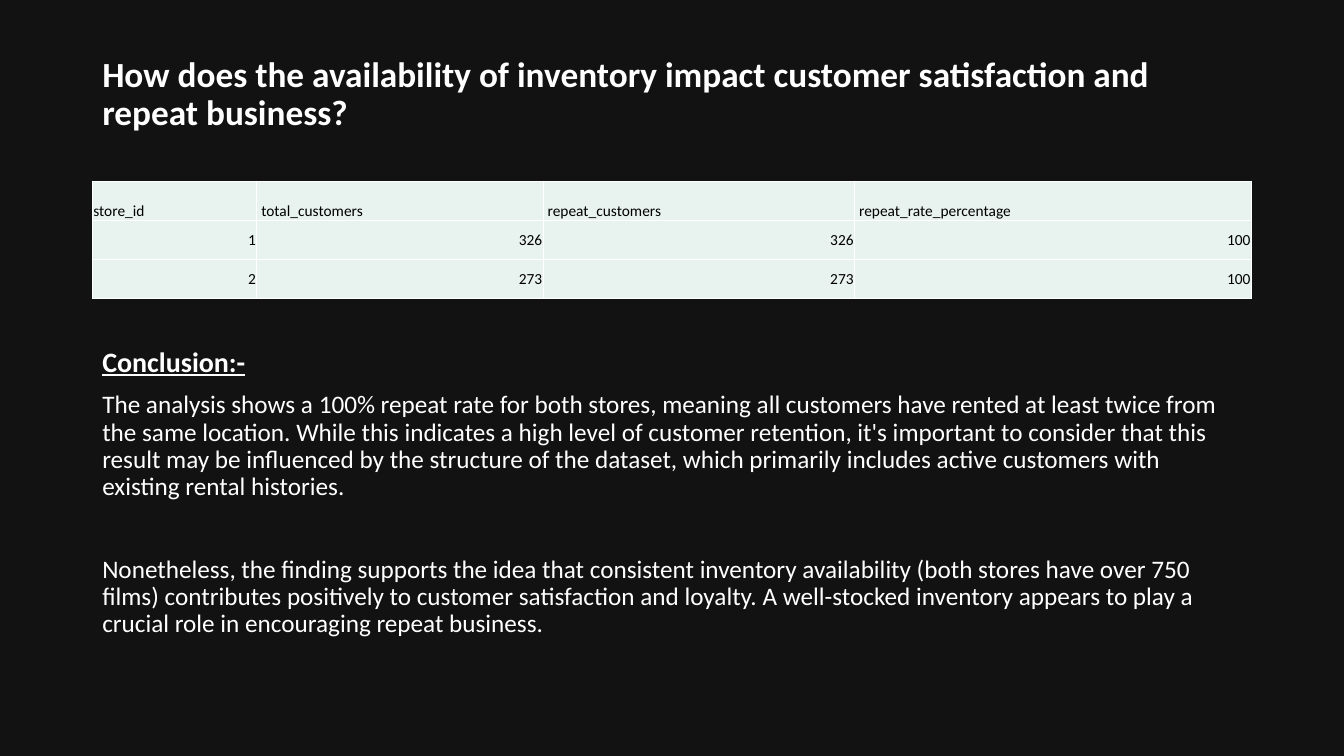
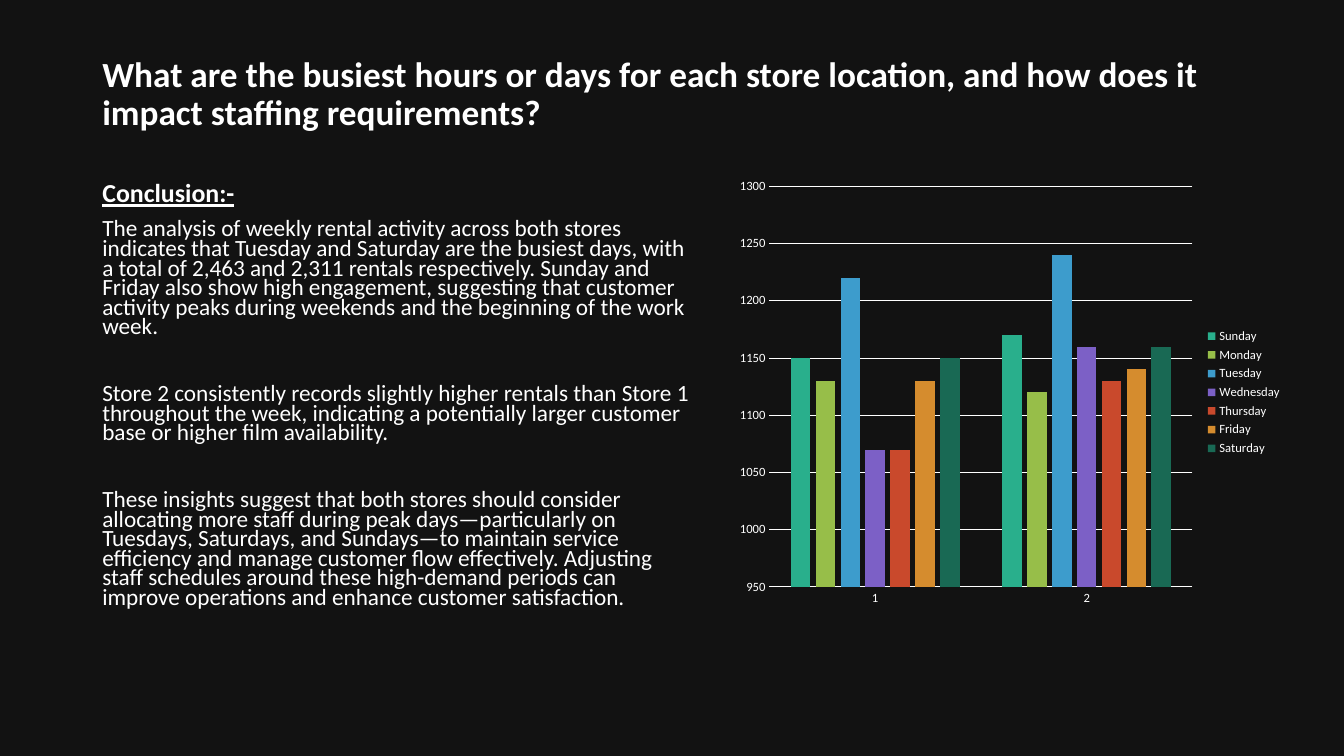
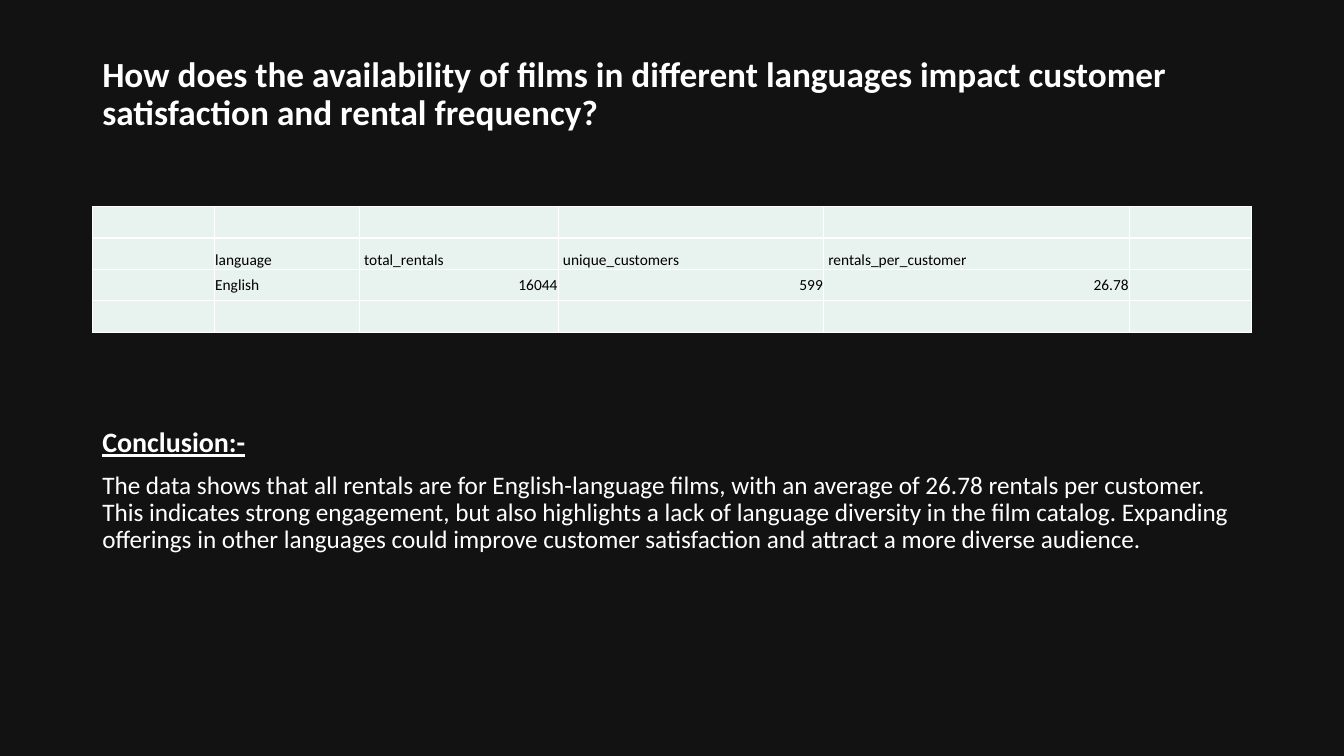
import pptx
import pptx.chart.data
import pptx.dml.color
import pptx.enum.chart
import pptx.enum.text
import pptx.oxml
import pptx.oxml.ns
import pptx.util

Pt = pptx.util.Pt
RGB = pptx.dml.color.RGBColor.from_string
Anchor = pptx.enum.text.MSO_ANCHOR
Align = pptx.enum.text.PP_ALIGN

# Theme: colours, type and shared positions
THEME = {
    "background": RGB("121212"),
    "white": RGB("FFFFFF"),
    "cell_fill": RGB("E8F2EE"),
    "cell_text": RGB("000000"),
    "font": "Calibri",
    "title_size": 25.2,
    "cell_size": 11,
    "axis_size": 9,
    "left": 66,
    "width": 828,
    "series": ["29AF8C", "97BE49", "3D9CCC", "7C60C6", "C9492C", "D58C2E", "196954"],
}
TITLE_BOX = (THEME["left"], 40, THEME["width"], 56)
WIDE_BODY = {"heading": 20, "text": 18, "spacing": 0.9, "gap": 39.5}
NARROW_BODY = {"heading": 18.5, "text": 16.6, "spacing": 0.7, "gap": 34}
HEADING = "Conclusion:-"


def add_text(slide, box, paragraphs, spacing, **frame_format):
    """Each paragraph is (text, space before, font values)."""
    frame = slide.shapes.add_textbox(*map(Pt, box)).text_frame
    frame_values = {"word_wrap": True, "auto_size": pptx.enum.text.MSO_AUTO_SIZE.NONE}
    for name, value in {**frame_values, **frame_format}.items():
        setattr(frame, name, value)
    for index, (text, before, font_values) in enumerate(paragraphs):
        paragraph = frame.add_paragraph() if index else frame.paragraphs[0]
        paragraph.line_spacing = spacing
        paragraph.space_before = Pt(before)
        run = paragraph.add_run()
        run.text = text
        run.font.color.rgb = THEME["white"]
        for name, value in {"name": THEME["font"], **font_values}.items():
            setattr(run.font, name, value)


def add_data_table(slide, top, row_height, widths, rows, header_row, first_column):
    shape = slide.shapes.add_table(len(rows), len(widths), Pt(THEME["left"]), Pt(top),
                                   Pt(sum(widths)), Pt(row_height * len(rows)))
    table = shape.table
    table.first_row = table.horz_banding = False
    for column, width in zip(table.columns, widths):
        column.width = Pt(width)
    for row_index, row in enumerate(rows):
        table.rows[row_index].height = Pt(row_height)
        is_header = row_index == header_row
        for column_index, text in enumerate(row):
            cell = table.cell(row_index, column_index)
            indent = 3.2 if is_header and column_index > first_column else 0.7
            cell_values = {
                "margin_left": Pt(indent), "margin_right": Pt(0.7),
                "margin_top": Pt(0.7), "margin_bottom": 0,
                "vertical_anchor": Anchor.BOTTOM if is_header else Anchor.MIDDLE,
            }
            for name, value in cell_values.items():
                setattr(cell, name, value)
            cell.fill.solid()
            cell.fill.fore_color.rgb = THEME["cell_fill"]
            # White border on all four sides
            properties = cell._tc.get_or_add_tcPr()
            for position, side in enumerate(("lnL", "lnR", "lnT", "lnB")):
                properties.insert(position, pptx.oxml.parse_xml(
                    f'<a:{side} {pptx.oxml.ns.nsdecls("a")} w="{Pt(1)}"><a:solidFill>'
                    f'<a:srgbClr val="{THEME["white"]}"/></a:solidFill></a:{side}>'))
            # Numbers sit right, words left
            paragraph = cell.text_frame.paragraphs[0]
            is_number = text.replace(".", "").isdigit()
            paragraph.alignment = Align.RIGHT if is_number else Align.LEFT
            if text:
                run = paragraph.add_run()
                run.text = text
                run.font.name = THEME["font"]
                run.font.size = Pt(THEME["cell_size"])
                run.font.color.rgb = THEME["cell_text"]
            else:
                end = paragraph._p.get_or_add_endParaRPr()
                end.set("sz", str(THEME["cell_size"] * 100))


# Presentation with the shared background
presentation = pptx.Presentation()
presentation.slide_width = Pt(960)
presentation.slide_height = Pt(540)
master_fill = presentation.slide_master.background.fill
master_fill.solid()
master_fill.fore_color.rgb = THEME["background"]

# Wording of each slide
pages = [
    {
        "title": "How does the availability of inventory impact customer satisfaction and repeat business?",
        "box": (THEME["left"], 245, THEME["width"], 236),
        "style": WIDE_BODY,
        "body": [
            "The analysis shows a 100% repeat rate for both stores, meaning all customers have rented at least twice from the same location. While this indicates a high level of customer retention, it's important to consider that this result may be influenced by the structure of the dataset, which primarily includes active customers with existing rental histories.",
            "Nonetheless, the finding supports the idea that consistent inventory availability (both stores have over 750 films) contributes positively to customer satisfaction and loyalty. A well-stocked inventory appears to play a crucial role in encouraging repeat business.",
        ],
    },
    {
        "title": "What are the busiest hours or days for each store location, and how does it impact staffing requirements?",
        "box": (THEME["left"], 129, 438.5, 352),
        "style": NARROW_BODY,
        "body": [
            "The analysis of weekly rental activity across both stores indicates that Tuesday and Saturday are the busiest days, with a total of 2,463 and 2,311 rentals respectively. Sunday and Friday also show high engagement, suggesting that customer activity peaks during weekends and the beginning of the work week.",
            "Store 2 consistently records slightly higher rentals than Store 1 throughout the week, indicating a potentially larger customer base or higher film availability.",
            "These insights suggest that both stores should consider allocating more staff during peak days—particularly on Tuesdays, Saturdays, and Sundays—to maintain service efficiency and manage customer flow effectively. Adjusting staff schedules around these high-demand periods can improve operations and enhance customer satisfaction.",
        ],
    },
    {
        "title": "How does the availability of films in different languages impact customer satisfaction and rental frequency?",
        "box": (THEME["left"], 302.5, THEME["width"], 185),
        "style": WIDE_BODY,
        "body": [
            "The data shows that all rentals are for English-language films, with an average of 26.78 rentals per customer. This indicates strong engagement, but also highlights a lack of language diversity in the film catalog. Expanding offerings in other languages could improve customer satisfaction and attract a more diverse audience.",
        ],
    },
]

# Titles and conclusions
slides = []
for page in pages:
    slide = presentation.slides.add_slide(presentation.slide_layouts[6])
    slides.append(slide)
    title_font = {"size": Pt(THEME["title_size"]), "bold": True}
    add_text(slide, TITLE_BOX, [(page["title"], 0, title_font)], 0.9,
             vertical_anchor=Anchor.MIDDLE, margin_top=0, margin_bottom=0)
    style = page["style"]
    paragraphs = [(HEADING, 0, {"size": Pt(style["heading"]), "bold": True, "underline": True})]
    for index, text in enumerate(page["body"]):
        before = style["gap"] if index else 10
        paragraphs.append((text, before, {"size": Pt(style["text"])}))
    add_text(slide, page["box"], paragraphs, style["spacing"])
inventory_slide, staffing_slide, language_slide = slides

# Repeat customers by store
add_data_table(inventory_slide, 129.5, 28, [117.5, 204.5, 222.5, 283.5], [
    ["store_id", "total_customers", "repeat_customers", "repeat_rate_percentage"],
    ["1", "326", "326", "100"],
    ["2", "273", "273", "100"],
], header_row=0, first_column=0)

# Rentals by language
add_data_table(language_slide, 147.5, 22.5, [87, 104, 142, 189.5, 218.5, 87], [
    [""] * 6,
    ["", "language", "total_rentals", "unique_customers", "rentals_per_customer", ""],
    ["", "English", "16044", "599", "26.78", ""],
    [""] * 6,
], header_row=1, first_column=1)

# Rentals by weekday and store
rentals = {
    "Sunday": (1150, 1170),
    "Monday": (1130, 1120),
    "Tuesday": (1220, 1240),
    "Wednesday": (1070, 1160),
    "Thursday": (1070, 1130),
    "Friday": (1130, 1140),
    "Saturday": (1150, 1160),
}
chart_data = pptx.chart.data.CategoryChartData()
chart_data.categories = ["1", "2"]
for day, values in rentals.items():
    chart_data.add_series(day, values)
chart = staffing_slide.shapes.add_chart(
    pptx.enum.chart.XL_CHART_TYPE.COLUMN_CLUSTERED,
    Pt(520.5), Pt(121.5), Pt(402.5), Pt(317.5), chart_data).chart
chart.has_title = False
chart.has_legend = True
chart.legend.position = pptx.enum.chart.XL_LEGEND_POSITION.RIGHT
chart.legend.include_in_layout = False

# Bars
plot = chart.plots[0]
for name, value in {"gap_width": 219, "overlap": -27, "vary_by_categories": False}.items():
    setattr(plot, name, value)
for series, color in zip(plot.series, THEME["series"]):
    series.format.fill.solid()
    series.format.fill.fore_color.rgb = RGB(color)

# Axes and chart type
category_axis, value_axis = chart.category_axis, chart.value_axis
no_tick = pptx.enum.chart.XL_TICK_MARK.NONE
axis_values = {"minimum_scale": 950, "maximum_scale": 1300, "major_unit": 50,
               "has_major_gridlines": True}
for name, value in axis_values.items():
    setattr(value_axis, name, value)
for axis in (category_axis, value_axis):
    axis.major_tick_mark = axis.minor_tick_mark = no_tick
for line in (category_axis.format.line, value_axis.major_gridlines.format.line):
    line.color.rgb = THEME["white"]
    line.width = Pt(0.75)
value_axis.format.line.fill.background()
for font in (chart.font, chart.legend.font, category_axis.tick_labels.font,
             value_axis.tick_labels.font):
    font.name = THEME["font"]
    font.size = Pt(THEME["axis_size"])
    font.color.rgb = THEME["white"]

presentation.save("out.pptx")
